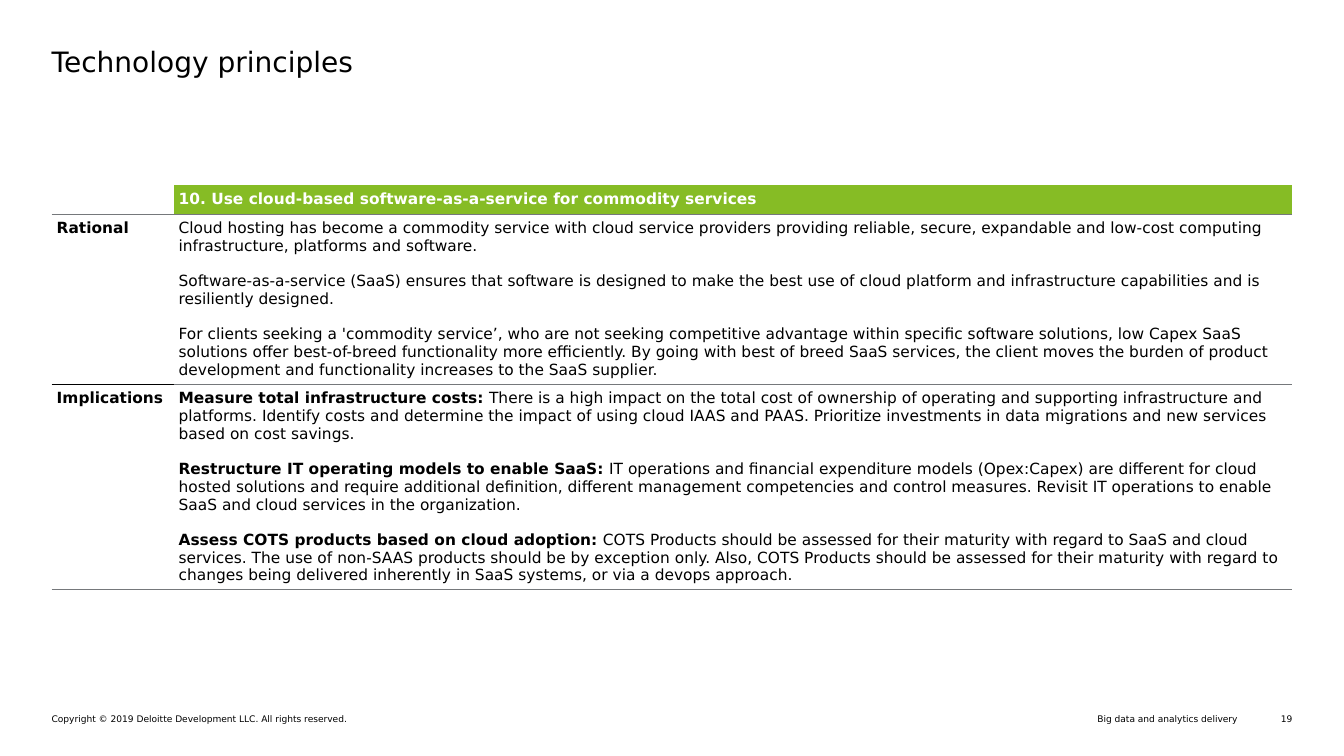
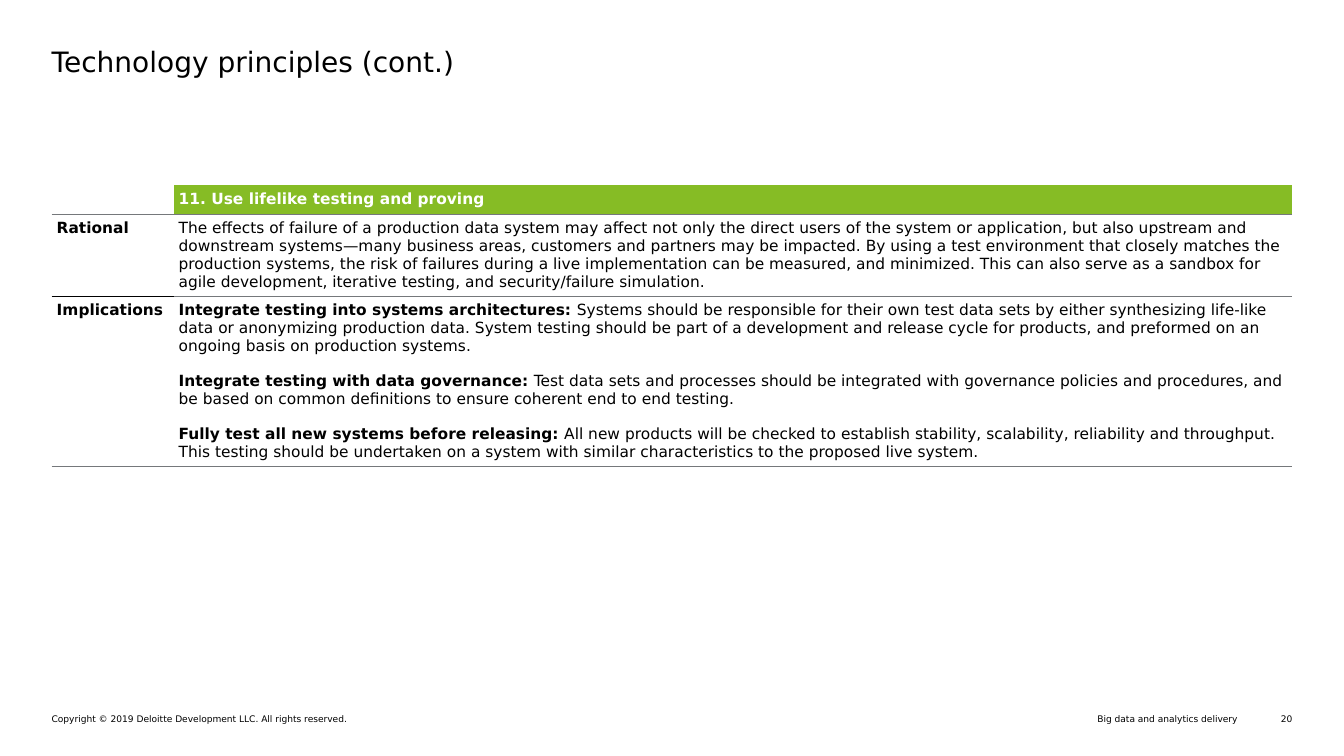
from lxml import etree
from pptx import Presentation
from pptx.dml.color import RGBColor
from pptx.enum.text import MSO_ANCHOR, MSO_AUTO_SIZE, PP_ALIGN
from pptx.oxml.ns import qn
from pptx.util import Pt

LEFT, RIGHT = PP_ALIGN.LEFT, PP_ALIGN.RIGHT
TOP = MSO_ANCHOR.TOP
NO_FIT = MSO_AUTO_SIZE.NONE

FONT = "DejaVu Sans"
COLORS = {"text": "000000", "white": "FFFFFF", "green": "86BC25", "rule": "75787B"}
PLAIN_TABLE = "{2D5ABB26-0587-4C30-8999-92F81FD0307C}"
MARGIN, WIDTH = 36.9, 886.3
LABEL_W = 87.1
HEADER_H = 20.4

# Each body paragraph is (bold lead, text)
SLIDES = [
    {
        "title": "Technology principles",
        "number": 19,
        "principle": "10. Use cloud-based software-as-a-service for commodity services",
        "heights": (121.4, 146.4),
        "rational": [
            ("", "Cloud hosting has become a commodity service with cloud service providers "
             "providing reliable, secure, expandable and low-cost computing infrastructure, "
             "platforms and software."),
            ("", "Software-as-a-service (SaaS) ensures that software is designed to make the best "
             "use of cloud platform and infrastructure capabilities and is resiliently designed."),
            ("", "For clients seeking a 'commodity service’, who are not seeking competitive "
             "advantage within specific software solutions, low Capex SaaS solutions offer "
             "best-of-breed functionality more efficiently. By going with best of breed SaaS "
             "services, the client moves the burden of product development and functionality "
             "increases to the SaaS supplier."),
        ],
        "implications": [
            ("Measure total infrastructure costs:",
             " There is a high impact on the total cost of ownership of operating and supporting "
             "infrastructure and platforms. Identify costs and determine the impact of using cloud "
             "IAAS and PAAS. Prioritize investments in data migrations and new services based on "
             "cost savings."),
            ("Restructure IT operating models to enable SaaS:",
             " IT operations and financial expenditure models (Opex:Capex) are different for cloud "
             "hosted solutions and require additional definition, different management competencies "
             "and control measures. Revisit IT operations to enable SaaS and cloud services in the "
             "organization."),
            ("Assess COTS products based on cloud adoption:",
             " COTS Products should be assessed for their maturity with regard to SaaS and cloud "
             "services. The use of non-SAAS products should be by exception only. Also, COTS "
             "Products should be assessed for their maturity with regard to changes being delivered "
             "inherently in SaaS systems, or via a devops approach."),
        ],
    },
    {
        "title": "Technology principles (cont.)",
        "number": 20,
        "principle": "11. Use lifelike testing and proving",
        "heights": (58.6, 121.4),
        "rational": [
            ("", "The effects of failure of a production data system may affect not only the direct "
             "users of the system or application, but also upstream and downstream systems—many "
             "business areas, customers and partners may be impacted. By using a test environment "
             "that closely matches the production systems, the risk of failures during a live "
             "implementation can be measured, and minimized. This can also serve as a sandbox for "
             "agile development, iterative testing, and security/failure simulation."),
        ],
        "implications": [
            ("Integrate testing into systems architectures:",
             " Systems should be responsible for their own test data sets by either synthesizing "
             "life-like data or anonymizing production data. System testing should be part of a "
             "development and release cycle for products, and preformed on an ongoing basis on "
             "production systems."),
            ("Integrate testing with data governance:",
             " Test data sets and processes should be integrated with governance policies and "
             "procedures, and be based on common definitions to ensure coherent end to end testing."),
            ("Fully test all new systems before releasing:",
             " All new products will be checked to establish stability, scalability, reliability "
             "and throughput. This testing should be undertaken on a system with similar "
             "characteristics to the proposed live system."),
        ],
    },
]


class Deck:
    """Holds the shared style and the current slide."""

    def __init__(self):
        self.prs = Presentation()
        self.prs.slide_width, self.prs.slide_height = Pt(960), Pt(540)
        self.s = None

    def style(self, r, size, color="text", bold=False):
        r.font.name, r.font.size, r.font.bold = FONT, Pt(size), bold
        r.font.color.rgb = RGBColor.from_string(COLORS[color])

    def frame(self, sp, text, size, align=LEFT):
        tf = sp.text_frame
        tf.margin_left = tf.margin_top = tf.margin_right = tf.margin_bottom = 0
        tf.word_wrap, tf.auto_size, tf.vertical_anchor = True, NO_FIT, TOP
        tf.text = text
        p = tf.paragraphs[0]
        p.alignment = align
        self.style(p.runs[0], size)

    def add_slide(self, title, number):
        self.s = self.prs.slides.add_slide(self.prs.slide_layouts[5])
        sp = self.s.shapes.title
        sp.left, sp.top, sp.width, sp.height = Pt(MARGIN), Pt(31.7), Pt(WIDTH), Pt(54.7)
        self.frame(sp, title, 20)
        # Footer line
        self.footer("Big data and analytics delivery", 499, 385.2, RIGHT)
        self.footer("Copyright © 2019 Deloitte Development LLC. All rights reserved.",
                    MARGIN, 421.9, LEFT)
        self.footer(str(number), 898.7, 24.5, RIGHT)

    def footer(self, text, x, w, align):
        sp = self.s.shapes.add_textbox(Pt(x), Pt(509.8), Pt(w), Pt(7.9))
        self.frame(sp, text, 6.5, align)

    def border(self, cell, side, color, width):
        tcPr = cell._tc.get_or_add_tcPr()
        ln = etree.SubElement(tcPr, qn(f"a:ln{side}"), w=str(Pt(width)))
        fill = etree.SubElement(ln, qn("a:solidFill"))
        etree.SubElement(fill, qn("a:srgbClr"), val=COLORS[color])

    def cell(self, cell, paras, color="text", fill=None, top=None, bottom=None):
        cell.margin_left = cell.margin_right = Pt(3.6)
        cell.margin_top = cell.margin_bottom = Pt(3.6)
        for side, line in (("T", top), ("B", bottom)):
            if line:
                self.border(cell, side, *line)
        if fill:
            cell.fill.solid()
            cell.fill.fore_color.rgb = RGBColor.from_string(COLORS[fill])
        else:
            cell.fill.background()
        tf = cell.text_frame
        for i, parts in enumerate(paras):
            p = tf.paragraphs[0] if i == 0 else tf.add_paragraph()
            if i < len(paras) - 1:
                p.space_after = Pt(12)
            for text, bold in zip(parts, (True, False)):
                if text:
                    r = p.add_run()
                    r.text = text
                    self.style(r, 11, color, bold)
        if not paras:
            # Keeps the empty cell from stretching its row
            etree.SubElement(tf.paragraphs[0]._p, qn("a:endParaRPr"), sz="1100")

    def table(self, principle, rational, implications, heights):
        heights = (HEADER_H, *heights)
        gf = self.s.shapes.add_table(3, 2, Pt(MARGIN), Pt(132.3), Pt(WIDTH), Pt(sum(heights)))
        tbl = gf.table
        tbl.first_row = tbl.horz_banding = False
        tbl._tbl.tblPr.find(qn("a:tableStyleId")).text = PLAIN_TABLE
        for col, w in zip(tbl.columns, (LABEL_W, WIDTH - LABEL_W)):
            col.width = Pt(w)
        for row, h in zip(tbl.rows, heights):
            row.height = Pt(h)

        rule, hairline = ("rule", 0.5), ("text", 0.25)
        # Header row
        self.cell(tbl.cell(0, 0), [], bottom=rule)
        self.cell(tbl.cell(0, 1), [(principle,)], "white", "green", bottom=rule)
        # Label column
        self.cell(tbl.cell(1, 0), [("Rational",)], fill="white", top=rule, bottom=hairline)
        self.cell(tbl.cell(2, 0), [("Implications",)], fill="white", top=hairline, bottom=rule)
        # Body column
        for i, paras in enumerate((rational, implications), 1):
            self.cell(tbl.cell(i, 1), paras, top=rule, bottom=rule)


def main():
    deck = Deck()
    for d in SLIDES:
        deck.add_slide(d["title"], d["number"])
        deck.table(d["principle"], d["rational"], d["implications"], d["heights"])
    deck.prs.save("out.pptx")


if __name__ == "__main__":
    main()
